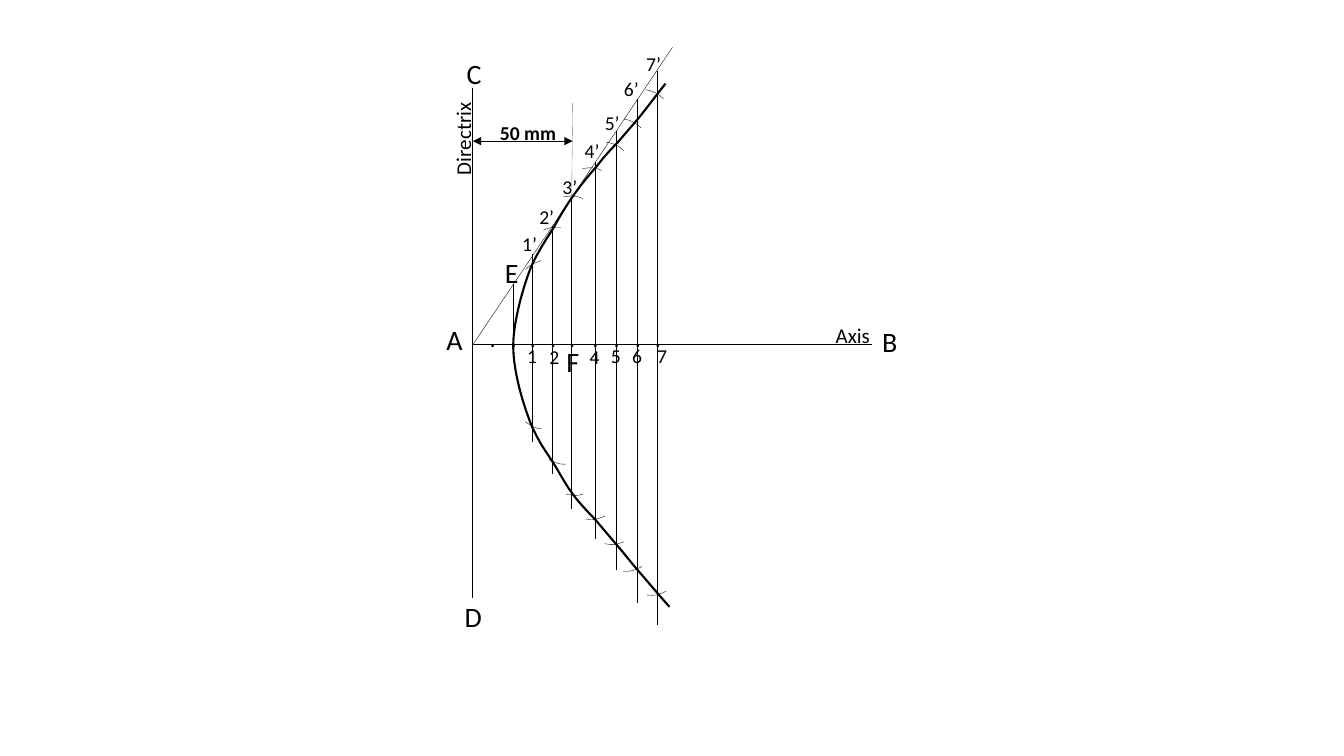
from pptx import Presentation
from pptx.dml.color import RGBColor
from pptx.enum.shapes import MSO_CONNECTOR
from pptx.enum.text import MSO_AUTO_SIZE
from pptx.oxml.ns import qn
from pptx.util import Pt
from lxml import etree

STRAIGHT = MSO_CONNECTOR.STRAIGHT
GROW = MSO_AUTO_SIZE.SHAPE_TO_FIT_TEXT
BLACK = RGBColor(0x00, 0x00, 0x00)
GREY = RGBColor(0x80, 0x80, 0x80)
EMU_PER_PX = 9144  # 100 px to the inch

AXIS_Y = 342
DIRECTRIX_X = 469
VERTEX_X = 509

# number: x, top and bottom of the ordinate, axis label (left, top),
# primed label (left, top)
STATIONS = {
    "1": (528, 252, 439, (513, 336), (508, 225)),
    "2": (548, 224, 470, (535, 337), (525, 198)),
    "3": (567, 195, 505, None, (548, 169)),  # the focus F stands here
    "4": (590, 161, 535, (575, 337), (570, 133)),
    "5": (611, 130, 565, (596, 336), (590, 105)),
    "6": (632, 98, 598, (617, 336), (609, 71)),
    "7": (652, 70, 620, (642, 336), (631, 47)),
}

# frame width: start, two controls and end of a compass arc inside its frame
ARC_HEIGHT = 33
ARC_POINTS = {
    46: [(36, 0), (42, 5), (42, 8), (45, 15)],
    49: [(37, 0), (43, 5), (46, 9), (48, 16)],
}
# left, top, frame width, turn; upper and lower arc of each station
ARCS = [
    (515, 264, 46, 270), (515, 388, 46, 144.5),
    (527, 230, 46, 290.6), (536, 423, 46, 136.7),
    (539, 199, 49, 309.5), (548, 454, 46, 120.7),
    (558, 171, 49, 309.5), (566, 477, 49, 115.6),
    (574, 145, 49, 330.4), (586, 502, 49, 118.9),
    (591, 122, 49, 331.8), (601, 528, 49, 109.8),
    (613, 93, 49, 331.8), (626, 552, 49, 113),
]

PARABOLA_START = (660, 83)
PARABOLA = [
    [(653, 92)],
    [(649, 97), (637, 113), (631, 120)],
    [(612, 142)],
    [(603, 151), (598, 157), (591, 166)],
    [(583, 175), (575, 185), (568, 195)],
    [(561, 205), (555, 215), (549, 226)],
    [(542, 237), (534, 249), (528, 262)],
    [(522, 275), (509, 316), (509, 343)],
    [(509, 370), (520, 405), (528, 424)],
    [(537, 443), (541, 447), (548, 458)],
    [(555, 469), (561, 481), (568, 490)],
    [(575, 500), (590, 515), (590, 515)],
    [(612, 541)],
    [(619, 549), (625, 557), (632, 565)],
    [(656, 593)],
    [(664, 602)],
]


def px(n):
    return n * EMU_PER_PX


class Drawing:
    font = "Calibri"

    def __init__(self, slide):
        self.shapes = slide.shapes

    def text(self, text, left, top, width, height, size, bold=False, wrap=True, turn=0):
        sp = self.shapes.add_textbox(px(left), px(top), px(width), px(height))
        sp.rotation = turn
        tf = sp.text_frame
        tf.word_wrap = wrap
        tf.auto_size = GROW
        tf.text = text
        font = tf.paragraphs[0].runs[0].font
        font.name, font.size, font.bold = self.font, Pt(size), bold
        font.color.rgb = BLACK

    def point_name(self, text, left, top):
        self.text(text, left, top, 31, 44, 20)

    def dot(self, x):
        """Mark a division of the axis with a full stop centred near x."""
        self.text(".", x - 12, 318, 26, 37, 16, wrap=False)

    def line(self, x1, y1, x2, y2, weight=0.25, color=BLACK, arrows=False):
        sp = self.shapes.add_connector(STRAIGHT, px(x1), px(y1), px(x2), px(y2))
        sp.line.width = Pt(weight)
        sp.line.color.rgb = color
        if arrows:
            ln = sp.line._get_or_add_ln()
            for end in ("a:headEnd", "a:tailEnd"):
                etree.SubElement(ln, qn(end)).set("type", "triangle")
        etree.SubElement(sp.element.spPr, qn("a:effectLst"))

    def curve(self, start, segments, weight=0.25, corners=()):
        """Draw an open outline; a one-point segment is straight, three points a Bezier.

        Corners, when given, widen the frame beyond the outline itself.
        """
        first, *moves = [*corners, start]
        builder = self.shapes.build_freeform(*first, scale=EMU_PER_PX)
        for move in moves:
            builder.move_to(*move)
        builder.add_line_segments([pt for seg in segments for pt in seg], close=False)
        sp = builder.convert_to_shape()
        sp.fill.background()
        sp.line.color.rgb = BLACK
        sp.line.width = Pt(weight)
        sp.shadow.inherit = False
        for move in list(sp.element.iter(qn("a:moveTo")))[:-1]:
            move.getparent().remove(move)
        steps = iter(list(sp.element.iter(qn("a:lnTo"))))
        for seg in segments:
            parts = [next(steps) for _ in seg]
            if len(parts) == 3:
                bezier = etree.Element(qn("a:cubicBezTo"))
                parts[0].addprevious(bezier)
                for part in parts:
                    bezier.append(part[0])
                    part.getparent().remove(part)
        return sp

    def arc(self, left, top, width, turn):
        start, *rest = [(left + x, top + y) for x, y in ARC_POINTS[width]]
        corners = [(left, top), (left + width, top + ARC_HEIGHT)]
        self.curve(start, [rest], corners=corners).rotation = turn


def main():
    prs = Presentation()
    prs.slide_width, prs.slide_height = px(1333), px(750)
    d = Drawing(prs.slides.add_slide(prs.slide_layouts[6]))

    d.line(DIRECTRIX_X, AXIS_Y, 865, AXIS_Y, 0.5)
    for end_y in (87, 593):
        d.line(DIRECTRIX_X, end_y, DIRECTRIX_X, AXIS_Y, 0.5)
    d.line(VERTEX_X, 282, VERTEX_X, AXIS_Y)
    d.line(667, 47, DIRECTRIX_X, AXIS_Y)

    for name, left, top in [("A", 433, 315), ("B", 865, 317), ("C", 453, 51),
                            ("D", 451, 590), ("E", 491, 249), ("F", 552, 337)]:
        d.point_name(name, left, top)

    for x in (488, VERTEX_X):
        d.dot(x)
    for number, (x, top, bottom, axis_label, primed_label) in STATIONS.items():
        d.dot(x)
        d.line(x, top, x, bottom)
        if axis_label:
            d.text(number, *axis_label, 31, 34, 14)
        d.text(number + "’", *primed_label, 38, 34, 14)

    for arc in ARCS:
        d.arc(*arc)
    d.curve(PARABOLA_START, PARABOLA, 1.5)

    d.text("Directrix", 410, 117, 98, 35, 15, turn=270)
    d.text("Axis", 819, 315, 77, 35, 15)
    d.text("50 mm", 486, 115, 85, 34, 14, bold=True)
    d.line(568, 102, 567, 195, color=GREY)
    d.line(DIRECTRIX_X, 140, 568, 140, arrows=True)

    prs.save("out.pptx")


if __name__ == "__main__":
    main()
